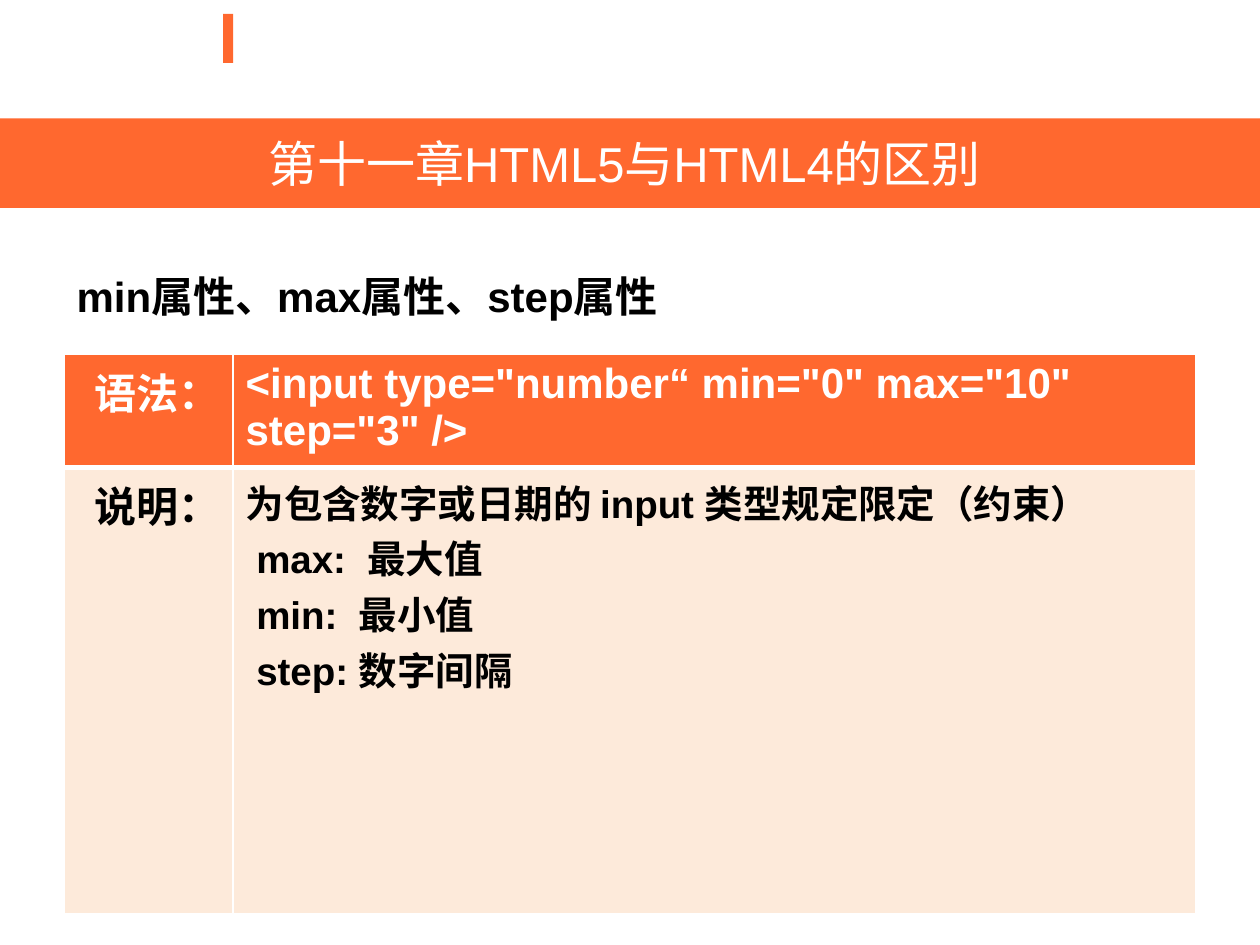
from lxml.etree import SubElement
from pptx import Presentation
from pptx.dml.color import RGBColor
from pptx.enum.text import MSO_ANCHOR, PP_ALIGN
from pptx.enum.shapes import MSO_SHAPE
from pptx.oxml.ns import qn
from pptx.util import Inches, Pt

COLORS = {"orange": "FF682F", "cream": "FDEADA", "white": "FFFFFF", "black": "000000"}


def color(name):
    """Return the named colour."""
    return RGBColor.from_string(COLORS[name])


def paint(item, name):
    """Give a shape or table cell a solid fill."""
    item.fill.solid()
    item.fill.fore_color.rgb = color(name)


def write(frame, *lines, size=24, ink="black", bold=True, align=PP_ALIGN.LEFT, before=0):
    """Fill a text frame with one paragraph per line."""
    frame.word_wrap = True
    for index, line in enumerate(lines):
        para = frame.add_paragraph() if index else frame.paragraphs[0]
        para.alignment = align
        para.space_before = Pt(before)
        span = para.add_run()
        span.text = line
        span.font.name = "Arial"
        span.font.size = Pt(size)
        span.font.bold = bold
        span.font.color.rgb = color(ink)


def add_borders(cell, bottom=1):
    """Draw white cell borders, with a chosen bottom width in points."""
    props = cell._tc.get_or_add_tcPr()
    widths = {"lnL": 1, "lnR": 1, "lnT": 1, "lnB": bottom}
    for index, (tag, width) in enumerate(widths.items()):
        line = SubElement(props, qn(f"a:{tag}"), w=str(Pt(width)))
        fill = SubElement(line, qn("a:solidFill"))
        SubElement(fill, qn("a:srgbClr"), val=COLORS["white"])
        props.insert(index, line)


def add_header(page, left, top, width, height):
    """Place the title band and the accent bar above it."""
    accent = page.shapes.add_shape(MSO_SHAPE.RECTANGLE, left + Inches(1.77),
                                   top - Inches(0.83), Inches(0.08), Inches(0.39))
    accent.shadow.inherit = False
    accent.line.fill.background()
    paint(accent, "orange")

    title = page.shapes.title
    title.left, title.top, title.width, title.height = left, top, width, height
    paint(title, "orange")
    title.text_frame.vertical_anchor = MSO_ANCHOR.MIDDLE
    write(title.text_frame, "第十一章HTML5与HTML4的区别\u00a0", size=28, ink="white",
          bold=False, align=PP_ALIGN.CENTER)


def add_heading(page, left, top, width, height):
    """Place the heading that names the attributes."""
    box = page.shapes.add_textbox(left, top, width, height)
    write(box.text_frame, "min属性、max属性、step属性", before=6)


def add_syntax_table(page, left, top, width, height):
    """Place the table of syntax and explanation."""
    rows = [
        ("语法：", ['<input type="number“ min="0" max="10" step="3" />'],
         24, "white", "orange", 3),
        ("说明：", ["为包含数字或日期的 input 类型规定限定（约束）",
                 " max:  最大值", " min:  最小值", " step: 数字间隔"],
         22, "black", "cream", 1),
    ]
    table = page.shapes.add_table(len(rows), 2, left, top, width, height).table
    label_width, syntax_height = Inches(1.34), Inches(0.89)
    table.columns[0].width = label_width
    table.columns[1].width = width - label_width
    table.rows[0].height = syntax_height
    table.rows[1].height = height - syntax_height
    for index, (label, lines, size, ink, fill, bottom) in enumerate(rows):
        label_cell, text_cell = table.cell(index, 0), table.cell(index, 1)
        write(label_cell.text_frame, label, ink=ink, align=PP_ALIGN.RIGHT)
        write(text_cell.text_frame, *lines, size=size, ink=ink)
        for cell in (label_cell, text_cell):
            paint(cell, fill)
            add_borders(cell, bottom)


def build():
    """Build the slide and save the deck."""
    deck = Presentation()
    deck.slide_width, deck.slide_height = Inches(10), Inches(7.5)
    page = deck.slides.add_slide(deck.slide_layouts[5])
    add_header(page, Inches(0), Inches(0.94), deck.slide_width, Inches(0.71))
    add_heading(page, Inches(0.51), Inches(2.1), Inches(9), Inches(4.72))
    add_syntax_table(page, Inches(0.51), Inches(2.81), Inches(8.98), Inches(4.43))
    deck.save("out.pptx")


build()
